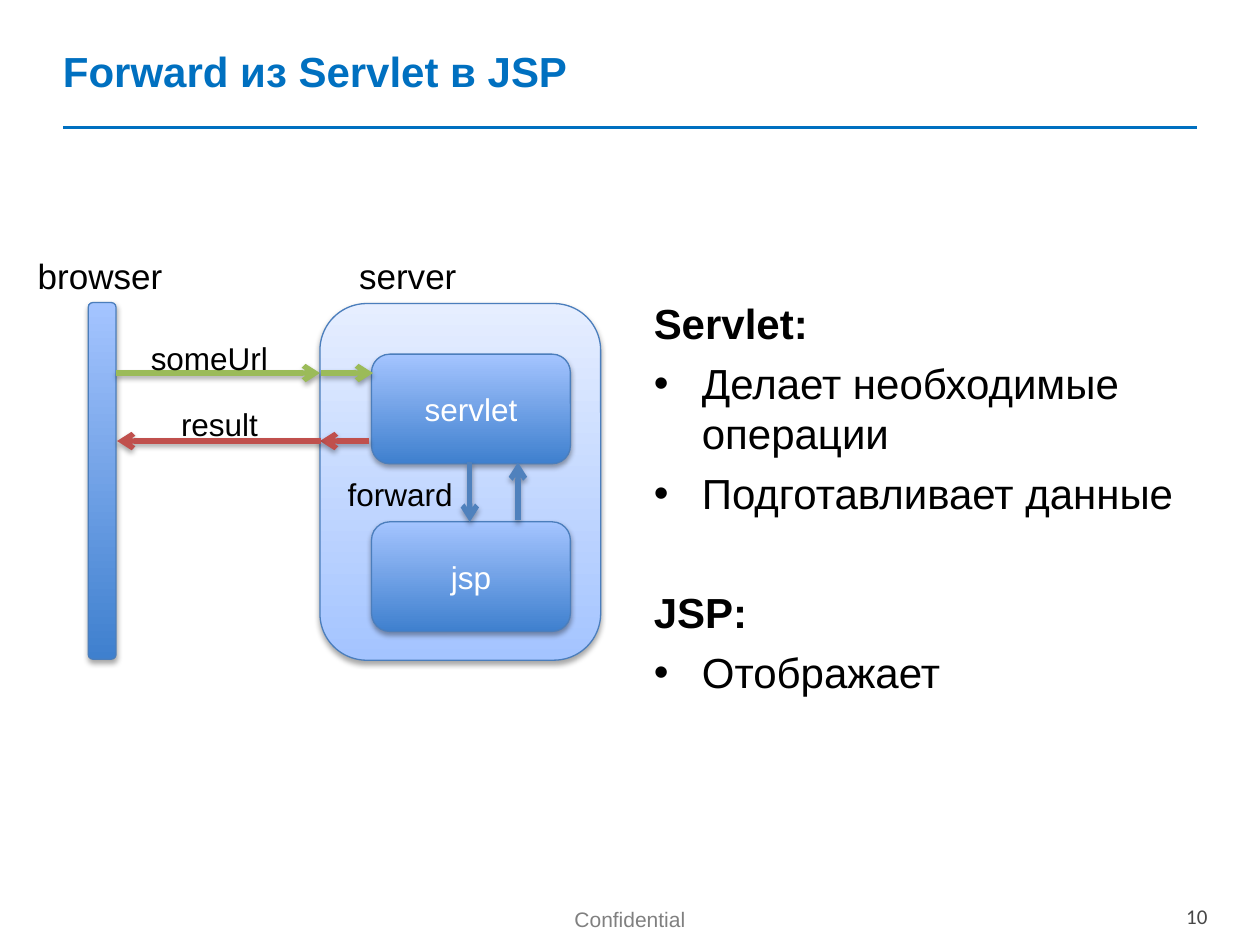
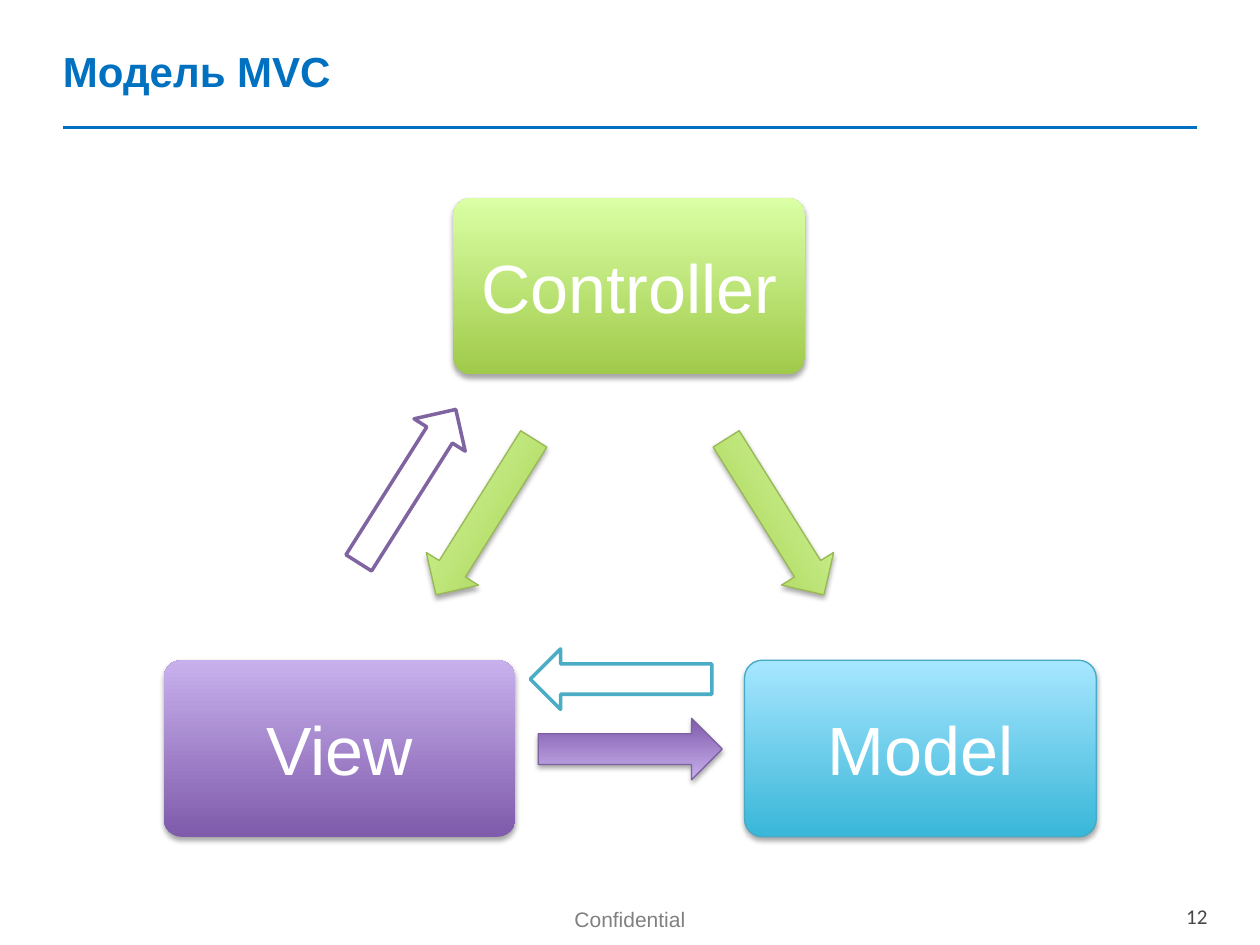
from dataclasses import dataclass

from lxml import etree
from pptx import Presentation
from pptx.dml.color import RGBColor
from pptx.enum.shapes import MSO_CONNECTOR, MSO_SHAPE
from pptx.enum.text import MSO_ANCHOR, PP_ALIGN
from pptx.oxml.ns import qn
from pptx.util import Cm, Pt

ROUND = MSO_SHAPE.ROUNDED_RECTANGLE
RIGHT_ARROW, LEFT_ARROW = MSO_SHAPE.RIGHT_ARROW, MSO_SHAPE.LEFT_ARROW
LINE = MSO_CONNECTOR.STRAIGHT
LEFT, CENTER, RIGHT = PP_ALIGN.LEFT, PP_ALIGN.CENTER, PP_ALIGN.RIGHT
TOP, MIDDLE = MSO_ANCHOR.TOP, MSO_ANCHOR.MIDDLE


@dataclass(frozen=True)
class Theme:
    font: str = "Arial"
    digit_font: str = "Calibri"
    # type sizes
    head: int = 24
    big: int = 39
    label: int = 20
    small: int = 18
    foot: int = 12
    # plain colours
    accent: str = "0070C0"
    black: str = "000000"
    white: str = "FFFFFF"
    gray: str = "808080"
    dark: str = "474747"
    request: str = "9BBB59"
    reply: str = "C0504D"
    call: str = "4F81BD"
    # gradients from bottom to top, and their outlines
    blue: tuple = ("3F80CE", "A4C4FF")
    pale: tuple = ("A4C4FF", "E6EEFF")
    green: tuple = ("A0CA4A", "DAFFA5")
    violet: tuple = ("7F5BAB", "C8B0ED")
    cyan: tuple = ("39B7D8", "A7E6FF")
    blue_edge: str = "4B7EBC"
    green_edge: str = "98B955"
    violet_edge: str = "7D60A0"
    cyan_edge: str = "46AAC5"
    view_edge: str = "8064A2"
    model_edge: str = "4BACC6"


THEME = Theme()


def rgb(code):
    return RGBColor.from_string(code)


def write(frame, text, size=THEME.head, color=THEME.black, bold=False,
          font=THEME.font, align=LEFT, before=0, bullet=False):
    """Add one paragraph, filling the first one while it is empty."""
    para = frame.paragraphs[0]
    if para.runs:
        para = frame.add_paragraph()
    para.alignment = align
    para.space_before = Pt(before)
    run = para.add_run()
    run.text = text
    run.font.name, run.font.size, run.font.bold = font, Pt(size), bold
    run.font.color.rgb = rgb(color)
    if bullet:
        props = para._p.get_or_add_pPr()
        props.set("marL", str(Cm(0.97)))
        props.set("indent", str(-Cm(0.97)))
        etree.SubElement(props, qn("a:buFont"), typeface=THEME.font)
        etree.SubElement(props, qn("a:buChar"), char="•")


def set_effect(shape, shadow):
    """Replace the theme effect by a soft shadow below, or by none."""
    effects = etree.SubElement(shape._element.spPr, qn("a:effectLst"))
    if shadow:
        outer = etree.SubElement(
            effects, qn("a:outerShdw"), blurRad=str(Pt(3.1)), dist=str(Pt(1.8)),
            dir="5400000", rotWithShape="0")
        color = etree.SubElement(outer, qn("a:srgbClr"), val=THEME.black)
        etree.SubElement(color, qn("a:alpha"), val="35000")


class Deck:
    def __init__(self, theme):
        self.theme = theme
        self.show = Presentation()
        self.show.slide_width, self.show.slide_height = Cm(25.4), Cm(19.05)
        self.slide = None

    def page(self, title, number):
        """Start a slide with its title, rule and footer."""
        t = self.theme
        self.slide = self.show.slides.add_slide(self.show.slide_layouts[6])
        self.line((1.27, 2.57), (24.13, 2.57), t.accent, 2.25)
        self.text((10.01, 18.16, 5.38, 0.99), "Confidential",
                  size=t.foot, color=t.gray, align=CENTER)
        self.text((22, 18.08, 2.59, 0.69), str(number), size=t.foot,
                  color=t.dark, font=t.digit_font, align=RIGHT)
        self.text((1.02, 0.05, 23.6, 2.74), title, anchor=MIDDLE,
                  color=t.accent, bold=True)

    def frame(self, area, anchor=TOP, wrap=True):
        box = self.slide.shapes.add_textbox(*map(Cm, area))
        frame = box.text_frame
        frame.word_wrap, frame.vertical_anchor = wrap, anchor
        return frame

    def text(self, area, text, anchor=TOP, wrap=True, **form):
        write(self.frame(area, anchor, wrap), text, **form)

    def line(self, start, end, color, width=3, arrow=False):
        link = self.slide.shapes.add_connector(LINE, *map(Cm, start + end))
        link.line.color.rgb = rgb(color)
        link.line.width = Pt(width)
        if arrow:
            etree.SubElement(link.line._ln, qn("a:tailEnd"), type="arrow")
        set_effect(link, shadow=arrow)

    def shape(self, kind, area, fill, edge=None, width=0.75, turn=0,
              round_by=None, text=None, size=THEME.small):
        """Draw a shaded shape for a colour pair, a flat one for a colour."""
        shape = self.slide.shapes.add_shape(kind, *map(Cm, area))
        shape.rotation = turn
        if round_by is not None:
            shape.adjustments[0] = round_by
        shaded = isinstance(fill, tuple)
        if shaded:
            shape.fill.gradient()
            shape.fill.gradient_angle = 90
            for stop, color in zip(shape.fill.gradient_stops, fill):
                stop.color.rgb = rgb(color)
        else:
            shape.fill.solid()
            shape.fill.fore_color.rgb = rgb(fill)
        if edge:
            shape.line.color.rgb = rgb(edge)
            shape.line.width = Pt(width)
        else:
            shape.line.fill.background()
        set_effect(shape, shadow=shaded)
        if text:
            shape.text_frame.vertical_anchor = MIDDLE
            write(shape.text_frame, text, size=size,
                  color=self.theme.white, align=CENTER)


def forward(deck):
    t = deck.theme
    deck.page("Forward из Servlet в JSP", 10)

    notes = deck.frame((12.93, 3.18, 11.2, 13.69), MIDDLE)
    for text, is_head, before in (
            ("Servlet:", True, 5.5),
            ("Делает необходимые операции", False, 5.5),
            ("Подготавливает данные", False, 5.5),
            ("JSP:", True, 39),
            ("Отображает", False, 5.5)):
        write(notes, text, bold=is_head, bullet=not is_head, before=before)

    deck.shape(ROUND, (1.78, 6.1, 0.56, 7.19), t.blue, t.blue_edge)
    deck.shape(ROUND, (6.45, 6.12, 5.66, 7.19), t.pale, t.blue_edge)
    for name, top in (("servlet", 7.14), ("jsp", 10.52)):
        deck.shape(ROUND, (7.49, top, 4.01, 2.21), t.blue, t.blue_edge, text=name)

    for start, end, color in (
            ((2.34, 7.52), (6.45, 7.52), t.request),
            ((6.48, 7.52), (7.52, 7.52), t.request),
            ((7.44, 8.89), (6.45, 8.89), t.reply),
            ((6.48, 8.89), (2.36, 8.89), t.reply),
            ((9.47, 9.32), (9.47, 10.52), t.call),
            ((10.44, 10.49), (10.44, 9.32), t.call)):
        deck.line(start, end, color, arrow=True)

    for name, left, top, width, size in (
            ("browser", 0.51, 5, 3.05, t.label),
            ("server", 6.99, 5, 2.49, t.label),
            ("someUrl", 2.79, 6.71, 2.9, t.small),
            ("result", 3.4, 8.05, 2.08, t.small),
            ("forward", 6.76, 9.45, 2.64, t.small)):
        deck.text((left, top, width, 1.02), name, wrap=False, size=size)


def model(deck):
    t = deck.theme
    deck.page("Модель MVC", 12)

    for name, left, top, fill, edge in (
            ("Controller", 9.14, 3.99, t.green, None),
            ("View", 3.3, 13.31, t.violet, None),
            ("Model", 15.01, 13.31, t.cyan, t.cyan_edge)):
        deck.shape(ROUND, (left, top, 7.09, 3.56), fill, edge,
                   round_by=0.1, text=name, size=t.big)

    for kind, left, top, turn, fill, edge in (
            (RIGHT_ARROW, 13.77, 9.8, 57.9, t.green, t.green_edge),
            (LEFT_ARROW, 7.92, 9.8, 302.1, t.green, t.green_edge),
            (LEFT_ARROW, 10.85, 14.48, 180, t.violet, t.violet_edge)):
        deck.shape(kind, (left, top, 3.71, 1.24), fill, edge, turn=turn)

    for left, top, turn, edge in ((10.69, 13.08, 180, t.model_edge),
                                  (6.38, 9.19, 302.3, t.view_edge)):
        deck.shape(RIGHT_ARROW, (left, top, 3.66, 1.22), t.white, edge,
                   width=2, turn=turn)


def main():
    deck = Deck(THEME)
    forward(deck)
    model(deck)
    deck.show.save("out.pptx")


if __name__ == "__main__":
    main()
